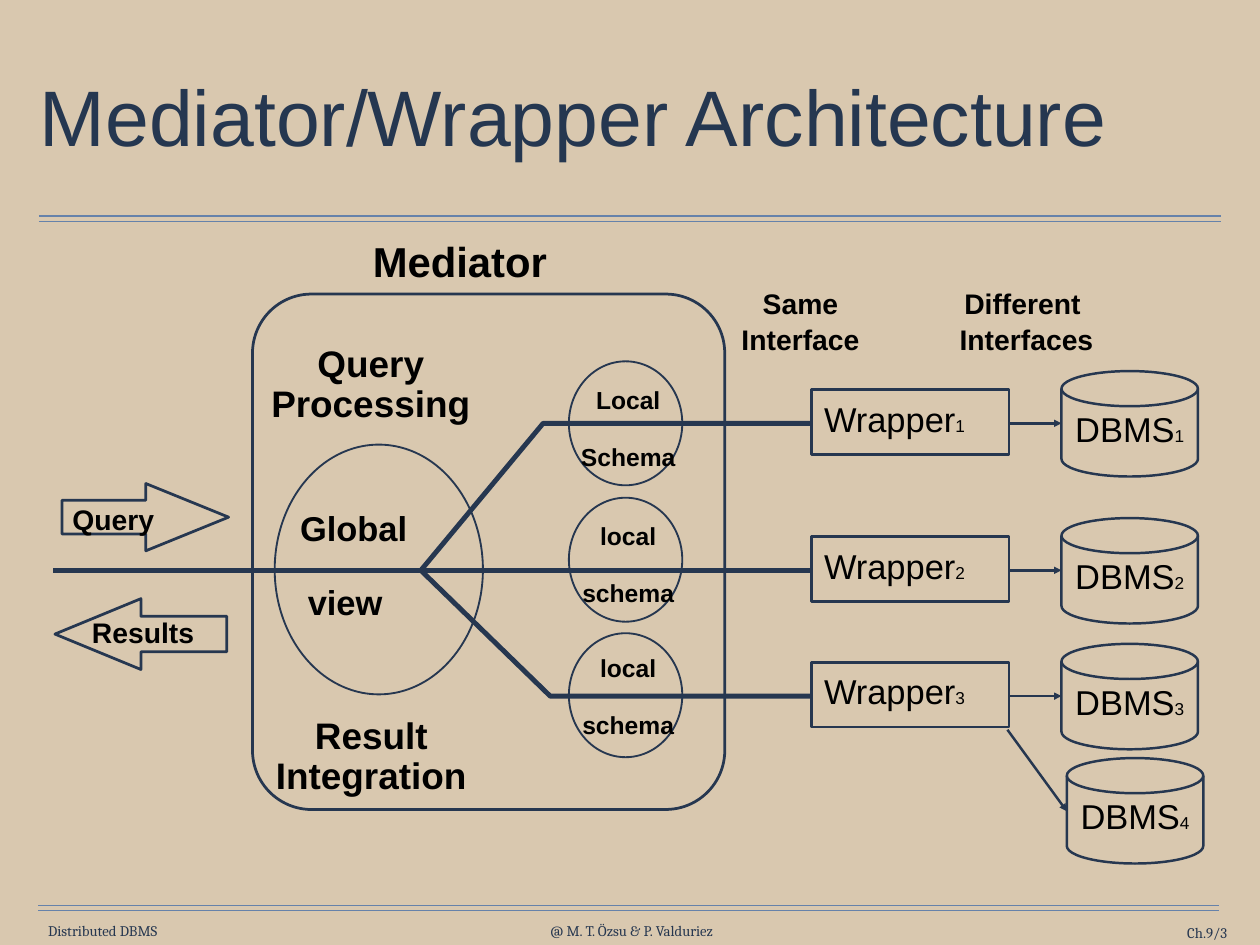
from lxml import etree
from pptx import Presentation
from pptx.dml.color import RGBColor
from pptx.enum.shapes import MSO_CONNECTOR, MSO_SHAPE
from pptx.enum.text import MSO_ANCHOR, PP_ALIGN
from pptx.oxml.ns import qn
from pptx.util import Pt

EMU_PER_PX = 9144
COLORS = {"page": "D9C8AF", "rule": "6682AA", "ink": "263750", "title": "253750", "text": "000000"}
LEFT, CENTER, RIGHT = PP_ALIGN.LEFT, PP_ALIGN.CENTER, PP_ALIGN.RIGHT
TOP, MIDDLE = MSO_ANCHOR.TOP, MSO_ANCHOR.MIDDLE
STRAIGHT = MSO_CONNECTOR.STRAIGHT
ELLIPSE, RECTANGLE = MSO_SHAPE.OVAL, MSO_SHAPE.RECTANGLE
ROUNDED, DISK = MSO_SHAPE.ROUNDED_RECTANGLE, MSO_SHAPE.FLOWCHART_MAGNETIC_DISK
LEFT_ARROW, RIGHT_ARROW = MSO_SHAPE.LEFT_ARROW, MSO_SHAPE.RIGHT_ARROW

TRUNK_Y = 644
SOURCE_ROWS = (478, TRUNK_Y, 786)
DISK_X = 1198


def px(*lengths):
    """Turn whole px lengths into EMU."""
    return [length * EMU_PER_PX for length in lengths]


def color(name):
    """Return a named colour."""
    return RGBColor.from_string(COLORS[name])


def style_outline(shape, width):
    """Leave a shape unfilled, with an ink outline and no shadow."""
    shape.shadow.inherit = False
    shape.fill.background()
    shape.line.color.rgb = color("ink")
    shape.line.width = Pt(width)


def add_outline(page, kind, bounds, width, adjustments=()):
    """Add an unfilled preset shape."""
    shape = page.shapes.add_shape(kind, *px(*bounds))
    style_outline(shape, width)
    for index, value in enumerate(adjustments):
        shape.adjustments[index] = value


def add_line(page, ends, width, ink="ink", arrow=False):
    """Add a straight line, with an arrowhead at its end if asked."""
    line = page.shapes.add_connector(STRAIGHT, *px(*ends))
    line.line.color.rgb = color(ink)
    line.line.width = Pt(width)
    if arrow:
        etree.SubElement(line.line._get_or_add_ln(), qn("a:tailEnd"), type="triangle")
    etree.SubElement(line._element.spPr, qn("a:effectLst"))


def add_branch(page, points):
    """Add an open bent line through the points."""
    start, *rest = points
    builder = page.shapes.build_freeform(*start, scale=EMU_PER_PX)
    builder.add_line_segments(rest, close=False)
    style_outline(builder.convert_to_shape(), 4)


def add_text(page, bounds, lines, size, ink="text", font="Arial", bold=False, align=CENTER,
             anchor=TOP, inset=(14, 7), spacing=1.0, gap=0, wrap=False):
    """Add a text box with one paragraph per line and return its paragraphs."""
    box = page.shapes.add_textbox(*px(*bounds))
    frame = box.text_frame
    frame.word_wrap = wrap
    frame.vertical_anchor = anchor
    frame.margin_left = frame.margin_right = inset[0] * EMU_PER_PX
    frame.margin_top = frame.margin_bottom = inset[1] * EMU_PER_PX
    frame.text = "\n".join(lines)
    for index, para in enumerate(frame.paragraphs):
        para.alignment = align
        para.line_spacing = spacing
        para.space_before = Pt(gap if index else 0)
        para.font.name = font
        para.font.size = Pt(size)
        para.font.bold = bold
        para.font.color.rgb = color(ink)
    return frame.paragraphs


def add_numbered_label(page, bounds, name, number):
    """Add a name followed by a small number."""
    para = add_text(page, bounds, [name], 28)[0]
    span = para.add_run()
    span.text = str(number)
    span.font.size = Pt(14)


def add_database(page, left, top, number):
    """Add a numbered DBMS disk."""
    add_outline(page, DISK, (left, top, 154, 119), 2)
    add_numbered_label(page, (left, top + 35, 154, 62), "DBMS", number)


def add_source(page, middle, number):
    """Add a wrapper with an arrow to its database."""
    add_outline(page, RECTANGLE, (916, middle - 38, 223, 73), 2)
    add_numbered_label(page, (914, middle - 36, 191, 62), "Wrapper", number)
    add_line(page, (1139, middle, DISK_X, middle), 2, arrow=True)
    add_database(page, DISK_X, middle - 59, number)


def add_schema(page, circle_top, text_top, lines):
    """Add a local schema circle with its label."""
    add_outline(page, ELLIPSE, (642, circle_top, 128, 140), 1.5)
    add_text(page, (627, text_top, 164, 106), lines, 20, bold=True,
             inset=(10, 5), spacing=0.9, gap=25)


def add_frame(page):
    """Add the title, the double rules and the footer."""
    for left, right, top in ((44, 1378, 244), (43, 1376, 1022)):
        for y in (top, top + 6):
            add_line(page, (left, y, right, y), 1, "rule")
    add_text(page, (39, 49, 1344, 176), ["Mediator/Wrapper Architecture"], 64, "title",
             align=LEFT, anchor=MIDDLE, inset=(6, 6), spacing=0.9, wrap=True)
    for bounds, text, align in (
        ((47, 1041, 138, 20), "Distributed DBMS", CENTER),
        ((609, 1041, 208, 20), "@ M. T. Özsu & P. Valduriez", CENTER),
        ((1231, 1043, 154, 20), "Ch.9/3", RIGHT),
    ):
        add_text(page, bounds, [text], 12, "ink", "Cambria", align=align, anchor=MIDDLE,
                 inset=(0, 0), wrap=align == RIGHT)


def add_mediator(page):
    """Add the mediator with its global view and local schemas."""
    add_outline(page, ROUNDED, (285, 332, 533, 582), 2.25, [0.125])
    add_outline(page, ELLIPSE, (310, 502, 235, 282), 1.5)
    for bounds, lines, size in (
        ((309, 573, 191, 53), ["Global "], 28),
        ((336, 656, 107, 53), ["view"], 28),
        ((295, 385, 247, 101), ["Query", "Processing"], 30),
        ((300, 805, 238, 101), ["Result", "Integration"], 30),
    ):
        add_text(page, bounds, lines, size, bold=True, inset=(10, 5), spacing=0.9)
    add_schema(page, 408, 433, ["Local", "Schema"])
    add_schema(page, 562, 587, ["local", "schema"])
    add_schema(page, 715, 736, ["local", "schema"])


def add_flow(page):
    """Add the query and result arrows and the lines to the wrappers."""
    add_line(page, (914, TRUNK_Y, 60, TRUNK_Y), 4)
    for row, bend in ((SOURCE_ROWS[0], 613), (SOURCE_ROWS[2], 621)):
        add_branch(page, [(475, TRUNK_Y), (bend, row), (914, row)])
    add_outline(page, RIGHT_ARROW, (70, 546, 188, 76), 2.25, [0.5, 1.23])
    add_outline(page, LEFT_ARROW, (62, 676, 194, 80), 2.25, [0.5, 1.214])
    for bounds, text in (((67, 564, 122, 50), "Query"), ((89, 692, 145, 50), "Results")):
        add_text(page, bounds, [text], 23, bold=True, spacing=0.9)


def add_headings(page):
    """Add the headings above the mediator, wrappers and databases."""
    for bounds, lines, size in (
        ((405, 270, 228, 62), ["Mediator"], 34),
        ((822, 324, 163, 89), ["Same", "Interface"], 23),
        ((1068, 324, 181, 89), ["Different ", "Interfaces"], 23),
    ):
        add_text(page, bounds, lines, size, bold=True, spacing=0.8, gap=7)


def main():
    """Build the slide and save it."""
    deck = Presentation()
    deck.slide_width, deck.slide_height = px(1422, 1067)
    page = deck.slides.add_slide(deck.slide_layouts[6])
    page.background.fill.solid()
    page.background.fill.fore_color.rgb = color("page")
    add_frame(page)
    add_mediator(page)
    add_flow(page)
    add_headings(page)
    for number, row in enumerate(SOURCE_ROWS, 1):
        add_source(page, row, number)
    add_database(page, 1204, 856, 4)
    add_line(page, (1137, 824, 1204, 916), 2, arrow=True)
    deck.save("out.pptx")


if __name__ == "__main__":
    main()
